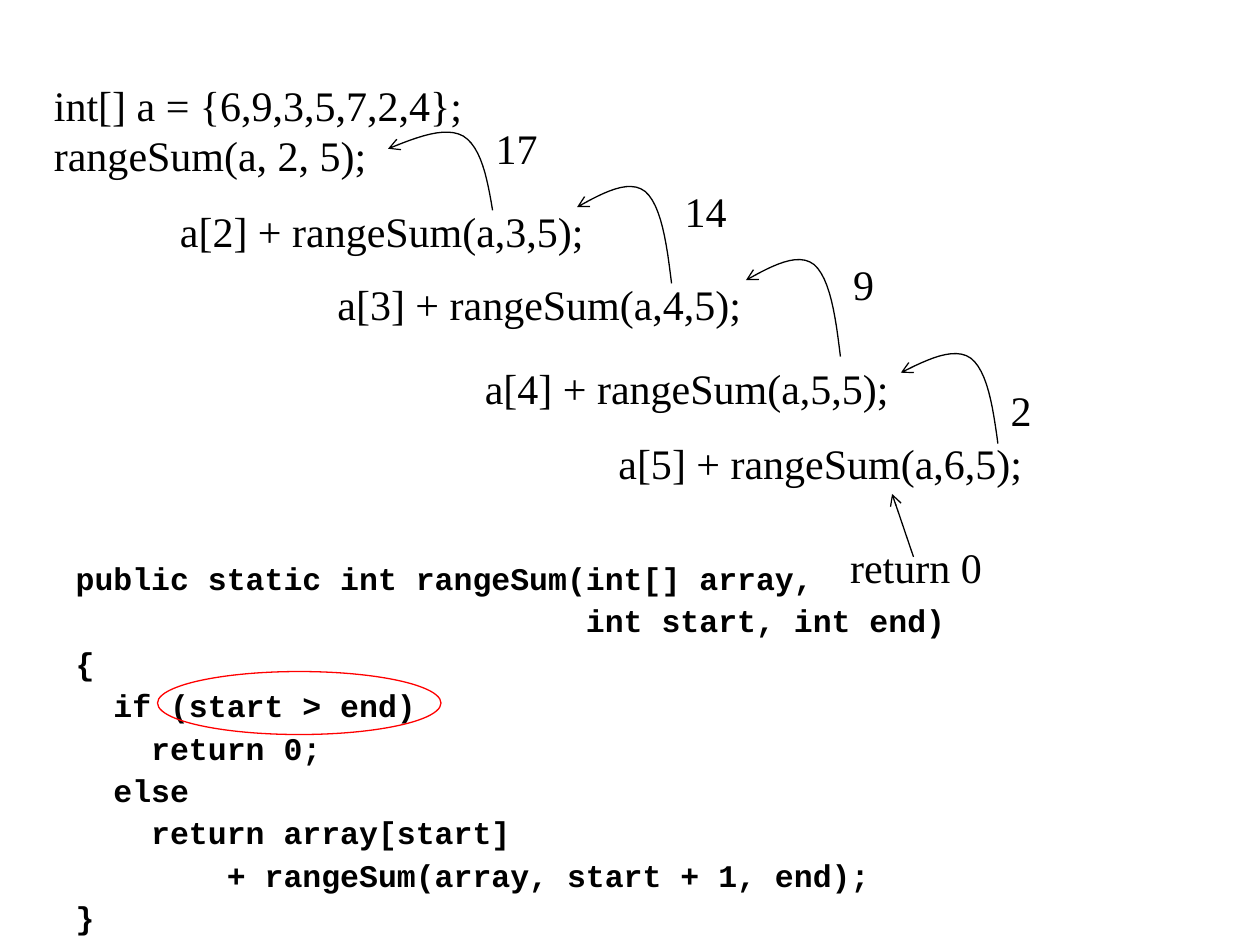
from dataclasses import dataclass
from lxml.etree import SubElement
from pptx import Presentation
from pptx.dml.color import RGBColor
from pptx.enum.shapes import MSO_CONNECTOR, MSO_SHAPE
from pptx.enum.text import MSO_ANCHOR, MSO_AUTO_SIZE, PP_ALIGN
from pptx.oxml.ns import qn
from pptx.util import Inches, Pt


@dataclass(frozen=True)
class Theme:
    trace_font: str = "Times New Roman"
    code_font: str = "Courier New"
    trace_size: float = 24
    code_size: float = 18
    code_gap: float = 4.8
    stroke: float = 0.75
    ink: RGBColor = RGBColor(0, 0, 0)
    highlight: RGBColor = RGBColor(255, 0, 0)


THEME = Theme()

CALLS = [
    (["int[] a = {6,9,3,5,7,2,4};", "rangeSum(a, 2, 5);"], (0.33, 0.58, 3.47, 0.91)),
    (["a[2] + rangeSum(a,3,5);"], (1.33, 1.58, 3.44, 0.5)),
    (["a[3] + rangeSum(a,4,5);"], (2.58, 2.16, 3.44, 0.5)),
    (["a[4] + rangeSum(a,5,5);"], (3.75, 2.83, 3.44, 0.5)),
    (["a[5] + rangeSum(a,6,5);"], (4.81, 3.42, 3.44, 0.5)),
]
RETURNS = [
    ("2", (7.92, 3, 0.37, 0.5), (7.15, 2.75, 0.77, 0.77)),
    ("9", (6.67, 2, 0.37, 0.5), (5.92, 2, 0.75, 0.83)),
    ("14", (5.33, 1.42, 0.54, 0.5), (4.58, 1.42, 0.75, 0.83)),
    ("17", (3.83, 0.92, 0.54, 0.5), (3.08, 1, 0.83, 0.67)),
]
BASE_CASE = ("return 0", (6.64, 4.25, 1.26, 0.5))
BASE_ARROW = (7.25, 4.42, 7.08, 3.92)
CONDITION_RING = (1.25, 5.33, 2.25, 0.5)
CODE_AREA = (0, 4.42, 9.07, 3.08)
CODE = [
    "public static int rangeSum(int[] array,",
    "                           int start, int end)",
    "{",
    "  if (start > end)",
    "    return 0;",
    "  else",
    "    return array[start]",
    "        + rangeSum(array, start + 1, end);",
    "}",
]
RETURN_CURVE = [
    ((1, 1), (0.95, 0.62), (0.89, 0.25), (0.72, 0.12)),
    ((0.72, 0.12), (0.55, 0), (0.28, 0.13), (0, 0.27)),
]
CURVE_STEPS = 12


def inches(values):
    return [Inches(value) for value in values]


def write(frame, lines, *, font, size, bold=False, align=PP_ALIGN.LEFT,
          wrap=False, spacing=None, gap=0, indent=0):
    frame.word_wrap = wrap
    frame.vertical_anchor = MSO_ANCHOR.TOP
    for index, line in enumerate(lines):
        paragraph = frame.paragraphs[0] if index == 0 else frame.add_paragraph()
        properties = paragraph._p.get_or_add_pPr()
        properties.set("marL", str(Inches(indent)))
        properties.set("indent", "0")
        SubElement(properties, qn("a:buNone"))
        paragraph.alignment = align
        paragraph.line_spacing = spacing
        paragraph.space_before = Pt(gap if index else 0)
        run = paragraph.add_run()
        run.text = line
        run.font.name = font
        run.font.size = Pt(size)
        run.font.bold = bold
        run.font.color.rgb = THEME.ink


def add_trace(slide, lines, area, align=PP_ALIGN.LEFT):
    frame = slide.shapes.add_textbox(*inches(area)).text_frame
    write(frame, lines, font=THEME.trace_font, size=THEME.trace_size, align=align)


def outline(shape, color, arrow=False):
    shape.line.color.rgb = color
    shape.line.width = Pt(THEME.stroke)
    if arrow:
        SubElement(shape.line._get_or_add_ln(), qn("a:tailEnd"), type="arrow")


def bezier(points, t):
    weights = ((1 - t) ** 3, 3 * t * (1 - t) ** 2, 3 * t * t * (1 - t), t ** 3)
    return tuple(sum(w * p[axis] for w, p in zip(weights, points)) for axis in (0, 1))


def add_return_curve(slide, area):
    left, top, width, height = area
    points = [
        (Inches(left + width * x), Inches(top + height * y))
        for x, y in (
            bezier(segment, step / CURVE_STEPS)
            for segment in RETURN_CURVE
            for step in range(CURVE_STEPS + 1)
        )
    ]
    builder = slide.shapes.build_freeform(*points[0])
    builder.add_line_segments(points[1:], close=False)
    curve = builder.convert_to_shape()
    curve.shadow.inherit = False
    curve.fill.background()
    outline(curve, THEME.ink, arrow=True)


def add_code(slide):
    body = slide.placeholders[1]
    body.left, body.top, body.width, body.height = inches(CODE_AREA)
    frame = body.text_frame
    frame.auto_size = MSO_AUTO_SIZE.NONE
    frame.margin_right = 0
    write(frame, CODE, font=THEME.code_font, size=THEME.code_size, bold=True,
          wrap=True, spacing=0.9, gap=THEME.code_gap, indent=0.5)


def main():
    deck = Presentation()
    deck.slide_width, deck.slide_height = inches((10, 7.5))
    slide = deck.slides.add_slide(deck.slide_layouts[1])
    unused_title = slide.shapes.title.element
    unused_title.getparent().remove(unused_title)

    add_code(slide)
    for lines, area in CALLS:
        add_trace(slide, lines, area)
    for value, area, curve_area in RETURNS:
        add_return_curve(slide, curve_area)
        add_trace(slide, [value], area, PP_ALIGN.CENTER)

    base_text, base_area = BASE_CASE
    add_trace(slide, [base_text], base_area, PP_ALIGN.CENTER)
    base_arrow = slide.shapes.add_connector(MSO_CONNECTOR.STRAIGHT, *inches(BASE_ARROW))
    outline(base_arrow, THEME.ink, arrow=True)
    SubElement(base_arrow._element.spPr, qn("a:effectLst"))

    ring = slide.shapes.add_shape(MSO_SHAPE.OVAL, *inches(CONDITION_RING))
    ring.shadow.inherit = False
    ring.fill.background()
    outline(ring, THEME.highlight)
    deck.save("out.pptx")


if __name__ == "__main__":
    main()
